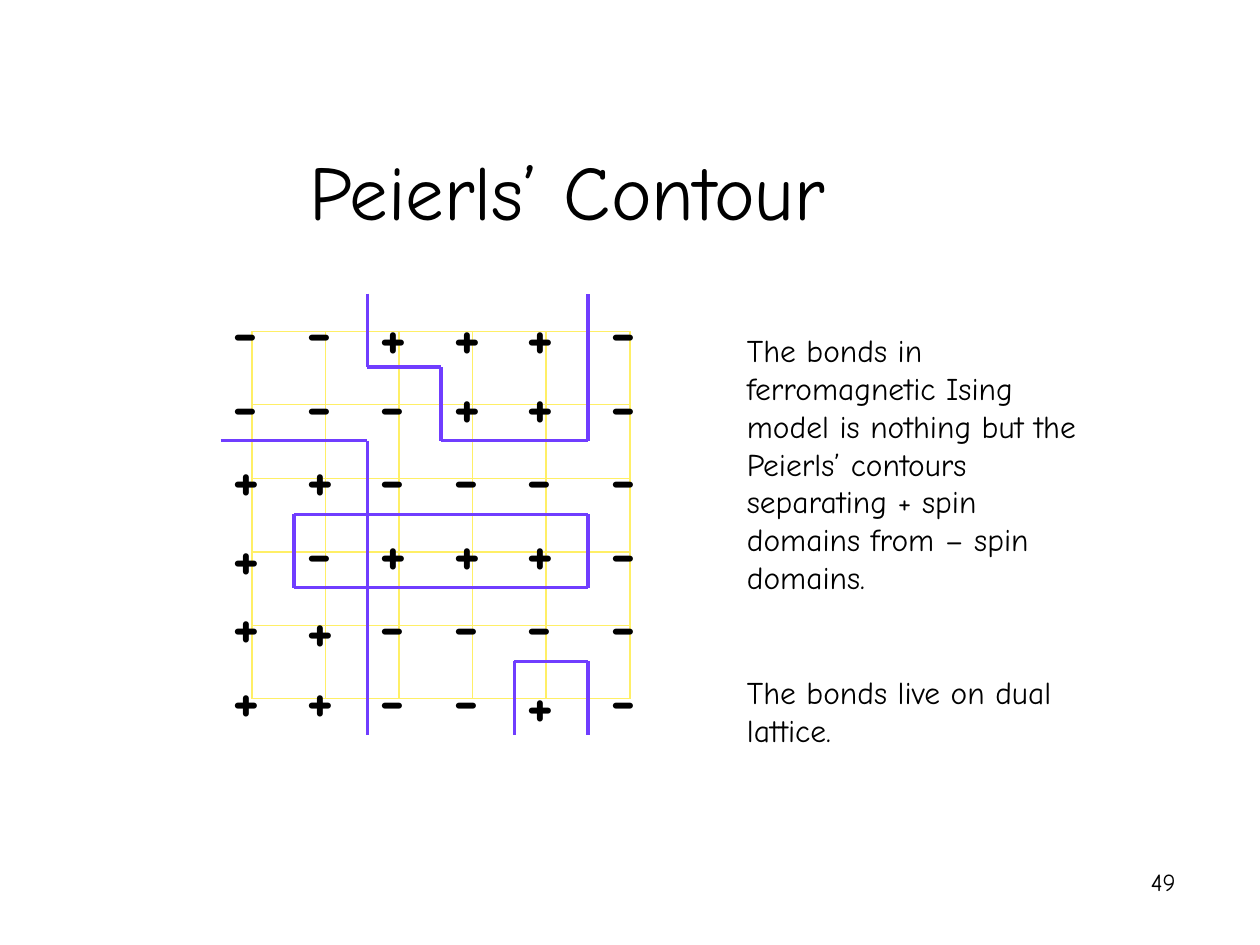
import pptx
import pptx.util
import pptx.dml.color
import pptx.enum.text
import pptx.enum.shapes
from lxml import etree

Inch, Pt = pptx.util.Inches, pptx.util.Pt
Align, Anchor = pptx.enum.text.PP_ALIGN, pptx.enum.text.MSO_ANCHOR

# Content
TITLE = "Peierls’ Contour"
NOTES = [
    "The bonds in ferromagnetic Ising model is nothing but the Peierls’ "
    "contours separating + spin domains from – spin domains.",
    "The bonds live on dual lattice.",
]
PAGE = "49"
SPINS = [
    "--+++-",
    "---++-",
    "++----",
    "+-+++-",
    "++----",
    "++--+-",
]
# Corners of each contour, as (column, row) on the dual lattice
LOOPS = [
    [(2, 0), (2, 1), (3, 1), (3, 2), (5, 2), (5, 0)],
    [(0, 2), (2, 2), (2, 6)],
    [(1, 3), (5, 3), (5, 4), (1, 4), (1, 3)],
    [(4, 6), (4, 5), (5, 5), (5, 6)],
]
# Spins set slightly below their row, by (row, column)
DROPS = {(0, 2): 0.04, (0, 3): 0.04, (0, 4): 0.04,
         (3, 0): 0.04, (4, 1): 0.03, (5, 4): 0.04}

COLORS = {"ink": "000000", "grid": "FFEF66", "bond": "703DFF"}
FONT = "Comic Neue"
SIZE = len(SPINS)
STEP = 7 / 12                      # lattice spacing in inches
LEFT, TOP, RIGHT = 2, 2.63, 5      # lattice edges; the last column is wider
DUAL = (1.75, 2.33)                # first dual node
SIGN = (1.75, 2.26, 0.42, 0.7)     # first spin box


def color(name):
    return pptx.dml.color.RGBColor.from_string(COLORS[name])


def style(para, size, bold=False, align=None):
    para.alignment = align
    para.font.name, para.font.size = FONT, Pt(size)
    para.font.bold = bold
    para.font.color.rgb = color("ink")


def label(box, texts, size, gap=0, **look):
    frame = slide.shapes.add_textbox(*map(Inch, box)).text_frame
    frame.word_wrap = True
    for i, text in enumerate(texts):
        para = frame.add_paragraph() if i else frame.paragraphs[0]
        para.text = text
        if i:
            para.space_before = Pt(gap)
        style(para, size, **look)


def line(start, end, name, width):
    kind = pptx.enum.shapes.MSO_CONNECTOR.STRAIGHT
    wire = slide.shapes.add_connector(kind, *map(Inch, start + end))
    wire.line.color.rgb = color(name)
    wire.line.width = Pt(width)
    props = wire._element.spPr
    etree.SubElement(props, pptx.oxml.ns.qn("a:effectLst"))


def node(col, row):
    return DUAL[0] + col * STEP, DUAL[1] + row * STEP


deck = pptx.Presentation()
deck.slide_width, deck.slide_height = Inch(10), Inch(7.5)
slide = deck.slides.add_slide(deck.slide_layouts[5])

# Title
title = slide.shapes.title
title.left, title.top, title.width, title.height = map(
    Inch, (0.75, 0.17, 7.51, 1.75))
title.text_frame.text = TITLE
title.text_frame.vertical_anchor = Anchor.BOTTOM
style(title.text_frame.paragraphs[0], 44, align=Align.CENTER)

# Lattice
xs = [LEFT + i * STEP for i in range(SIZE - 1)] + [RIGHT]
ys = [TOP + i * STEP for i in range(SIZE)]
for x in xs:
    line((x, ys[0]), (x, ys[-1]), "grid", 0.75)
for y in ys:
    line((xs[0], y), (xs[-1], y), "grid", 0.75)

# Spins
for row, signs in enumerate(SPINS):
    for col, sign in enumerate(signs):
        x = SIGN[0] + xs[col] - LEFT
        y = SIGN[1] + row * STEP + DROPS.get((row, col), 0)
        label((x, y) + SIGN[2:], [sign], 36, bold=True)

# Contours, one bond at a time
for loop in LOOPS:
    for (c1, r1), (c2, r2) in zip(loop, loop[1:]):
        count = abs(c2 - c1) + abs(r2 - r1)
        dc, dr = (c2 - c1) // count, (r2 - r1) // count
        for k in range(count):
            col, row = c1 + k * dc, r1 + k * dr
            line(node(col, row), node(col + dc, row + dr), "bond", 1.75)

# Notes and page number
label((5.83, 2.58, 3, 3.42), NOTES, 18, gap=44)
label((7.35, 6.83, 2.08, 0.5), [PAGE], 14, align=Align.RIGHT)

deck.save("out.pptx")
